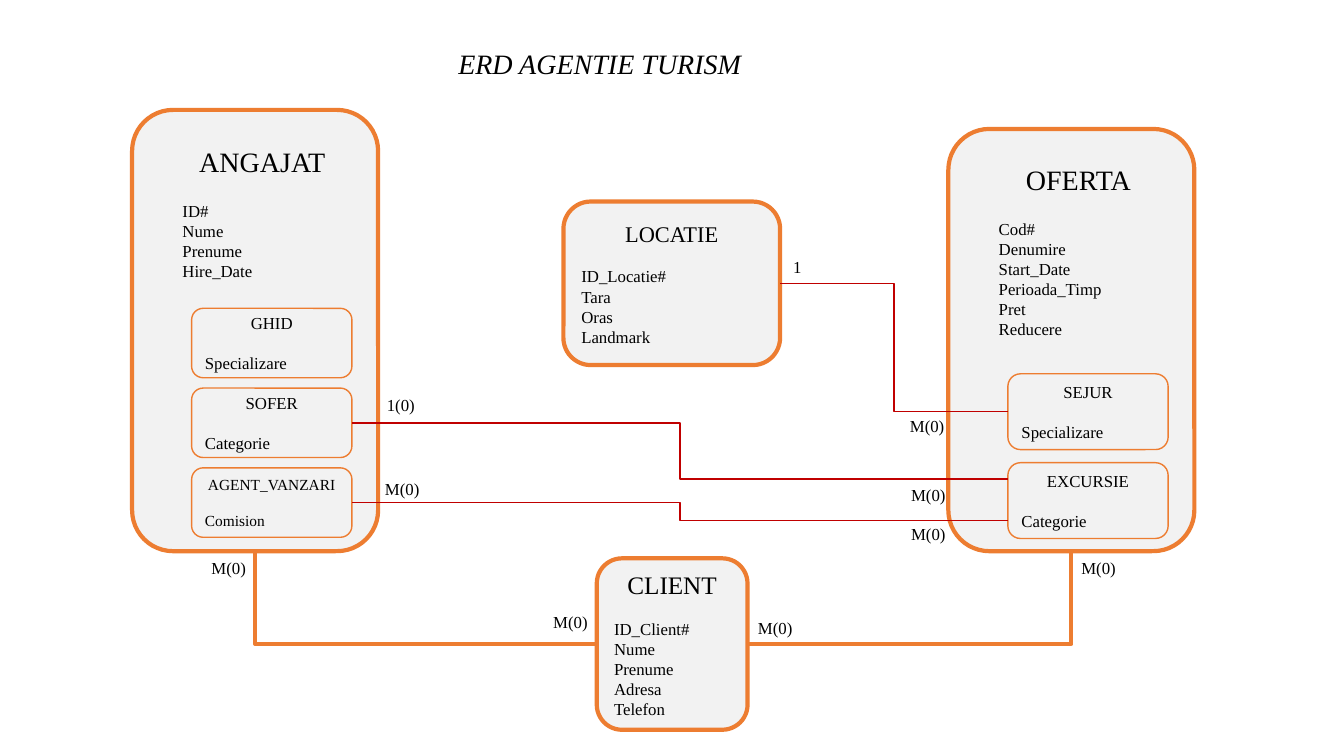
from lxml import etree
from pptx import Presentation
from pptx.dml.color import RGBColor
from pptx.enum.shapes import MSO_CONNECTOR, MSO_SHAPE
from pptx.enum.text import MSO_ANCHOR, PP_ALIGN
from pptx.oxml.ns import qn
from pptx.util import Cm, Pt

ROUNDED = MSO_SHAPE.ROUNDED_RECTANGLE
ELBOW = MSO_CONNECTOR.ELBOW
MIDDLE, TOP = MSO_ANCHOR.MIDDLE, MSO_ANCHOR.TOP
CENTER, LEFT = PP_ALIGN.CENTER, PP_ALIGN.LEFT
LEFT_SITE, BOTTOM_SITE, RIGHT_SITE = 1, 2, 3

ORANGE = RGBColor(0xED, 0x7D, 0x31)
RED = RGBColor(0xC0, 0x00, 0x00)
GREY = RGBColor(0xF2, 0xF2, 0xF2)
BLACK = RGBColor(0x00, 0x00, 0x00)
FONT = "Times New Roman"
LINE_HEIGHT = 1.15


def cm_box(box):
    return [Cm(length) for length in box]


def write(frame, lines, sizes, gap=0, heading_align=CENTER, anchor=MIDDLE):
    frame.word_wrap = True
    frame.vertical_anchor = anchor
    frame.text = "\n".join(lines)
    heading_size, attribute_size = sizes
    for index, paragraph in enumerate(frame.paragraphs):
        paragraph.alignment = LEFT if index else heading_align
        if index == 1:
            paragraph.space_before = Pt(round(gap * LINE_HEIGHT, 1))
        font = paragraph.runs[0].font
        font.name = FONT
        font.size = Pt(attribute_size if index else heading_size)
        font.color.rgb = BLACK


def add_frame(shapes, box, weight):
    frame = shapes.add_shape(ROUNDED, *cm_box(box))
    frame.shadow.inherit = False
    frame.fill.solid()
    frame.fill.fore_color.rgb = GREY
    frame.line.color.rgb = ORANGE
    frame.line.width = Pt(weight)
    return frame


def add_entity(shapes, box, lines, heading_size):
    entity = add_frame(shapes, box, 3)
    write(entity.text_frame, lines, (heading_size, 12), gap=12)
    return entity


def add_supertype(slide, box, lines, heading_top, subtypes, first_top, pitch, subtype_height):
    left, top, width, height = box
    shapes = slide.shapes.add_group_shape().shapes
    panel = add_frame(shapes, box, 3)
    subtype_shapes = []
    for index, (name, attribute, size) in enumerate(subtypes):
        subtype_box = (left + 1.5, top + first_top + index * pitch, 4.04, subtype_height)
        subtype = add_frame(shapes, subtype_box, 1)
        write(subtype.text_frame, (name, attribute), (size, size), gap=size)
        subtype_shapes.append(subtype)
    heading_box = (left + 1.02, top + heading_top, 4.52, first_top - heading_top - 0.4)
    heading = shapes.add_textbox(*cm_box(heading_box))
    write(heading.text_frame, lines, (20, 12), gap=14, anchor=TOP)
    return panel, subtype_shapes


def add_relation(slide, start, start_site, end, color, weight, single_bend=False):
    target, target_site = end if isinstance(end[1], int) and not isinstance(end[0], int) else (None, None)
    end_x, end_y = (0, 0) if target is not None else end
    relation = slide.shapes.add_connector(ELBOW, 0, 0, end_x, end_y)
    relation.begin_connect(start, start_site)
    if target is not None:
        relation.end_connect(target, target_site)
    relation.line.color.rgb = color
    relation.line.width = Pt(weight)
    properties = relation._element.spPr
    etree.SubElement(properties, qn("a:effectLst"))
    if single_bend:
        properties.find(qn("a:prstGeom")).set("prst", "bentConnector2")


def add_cardinality(slide, left, top, text):
    label = slide.shapes.add_textbox(*cm_box((left, top, 1.52, 0.77)))
    write(label.text_frame, [text], (12, 12), heading_align=LEFT, anchor=TOP)


def add_title(slide, box, text):
    title = slide.shapes.add_textbox(*cm_box(box))
    write(title.text_frame, [text], (20, 20), heading_align=LEFT, anchor=TOP)
    title.text_frame.paragraphs[0].runs[0].font.italic = True


def build_diagram(slide):
    client = add_entity(
        slide.shapes, (15.04, 14.07, 3.8, 4.32),
        ("CLIENT", "ID_Client#", "Nume", "Prenume", "Adresa", "Telefon"), 18)
    angajat, (_, sofer, agent) = add_supertype(
        slide, (3.33, 2.77, 6.2, 11.12),
        ("ANGAJAT", "ID#", "Nume", "Prenume", "Hire_Date"), 0.74,
        (("GHID", "Specializare", 12), ("SOFER", "Categorie", 12),
         ("AGENT_VANZARI", "Comision", 11)), 5, 2.01, 1.75)
    oferta, (sejur, excursie) = add_supertype(
        slide, (23.9, 3.25, 6.2, 10.64),
        ("OFERTA", "Cod#", "Denumire", "Start_Date", "Perioada_Timp", "Pret", "Reducere"), 0.71,
        (("SEJUR", "Specializare", 12), ("EXCURSIE", "Categorie", 12)), 6.17, 2.24, 1.91)
    locatie = add_entity(
        slide.shapes, (14.2, 5.08, 5.46, 4.12),
        ("LOCATIE", "ID_Locatie#", "Tara", "Oras", "Landmark"), 16)

    add_relation(slide, client, LEFT_SITE, (angajat, BOTTOM_SITE), ORANGE, 3, True)
    add_relation(slide, client, RIGHT_SITE, (oferta, BOTTOM_SITE), ORANGE, 3, True)
    for seller, drop in ((sofer, 0.41), (agent, 1.45)):
        add_relation(slide, seller, RIGHT_SITE,
                     (excursie.left, excursie.top + Cm(drop)), RED, 1)
    add_relation(slide, sejur, LEFT_SITE, (locatie, RIGHT_SITE), RED, 1)


CARDINALITIES = (
    (13.69, 15.29, "M(0)"), (18.85, 15.44, "M(0)"),
    (27, 13.94, "M(0)"), (5.08, 13.94, "M(0)"),
    (9.5, 9.83, "1(0)"), (9.45, 11.94, "M(0)"),
    (22.71, 13.08, "M(0)"), (22.71, 12.09, "M(0)"),
    (22.68, 10.36, "M(0)"), (19.74, 6.35, "1"),
)

presentation = Presentation()
presentation.slide_width = Cm(33.87)
presentation.slide_height = Cm(19.05)
erd = presentation.slides.add_slide(presentation.slide_layouts[6])
build_diagram(erd)
for cardinality in CARDINALITIES:
    add_cardinality(erd, *cardinality)
add_title(erd, (11.3, 1.04, 7.82, 1.12), "ERD AGENTIE TURISM")
presentation.save("out.pptx")
